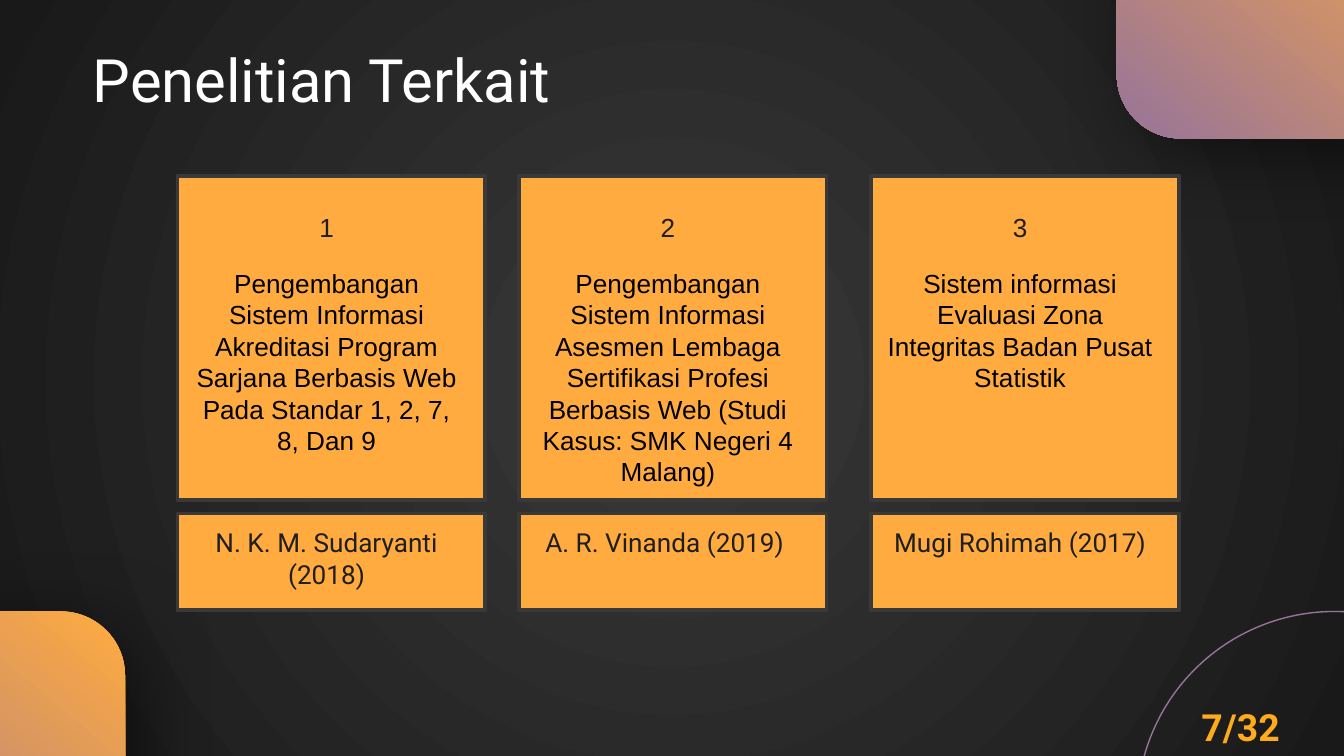
"""Build the related research slide with three study cards."""
from dataclasses import dataclass
from lxml import etree
from pptx import Presentation
from pptx.dml.color import RGBColor as Rgb
from pptx.enum.shapes import MSO_SHAPE as Kind
from pptx.enum.text import MSO_ANCHOR as Anchor, MSO_AUTO_SIZE as Fit, PP_ALIGN as Align
from pptx.oxml import parse_xml
from pptx.oxml.ns import nsdecls, qn
from pptx.util import Inches, Pt


@dataclass(frozen=True)
class Theme:
    amber: str = "FFAB40"
    mauve: str = "977499"
    gray: str = "393939"
    dark: str = "191919"
    ink: str = "1F1E20"
    black: str = "000000"
    white: str = "FFFFFF"
    gold: str = "FFAC1A"
    sans: str = "Roboto"
    plain: str = "Arial"
    head: int = 32
    page: int = 20
    body: int = 14


def blend(fill, first, last):
    fill.gradient()
    for stop, tint, spot in zip(fill.gradient_stops, (first, last), (0, 1)):
        stop.color.rgb = Rgb.from_string(tint)
        stop.position = spot


def write(shape, text, face, size, tint, align, inset):
    frame = shape.text_frame
    frame.word_wrap = True
    frame.margin_left = frame.margin_right = Inches(inset[0])
    frame.margin_top = frame.margin_bottom = Inches(inset[1])
    para = frame.paragraphs[0]
    para.alignment = align
    run = para.add_run()
    run.text = text
    run.font.name = face
    run.font.size = Pt(size)
    run.font.color.rgb = Rgb.from_string(tint)
    return run


look = Theme()
deck = Presentation()
deck.slide_width = Inches(10)
deck.slide_height = Inches(10) * 9 // 16
slide = deck.slides.add_slide(deck.slide_layouts[5])
shapes = slide.shapes

blend(slide.background.fill, look.gray, look.dark)
grad = slide.element.find(".//" + qn("a:gradFill"))
lin = grad.find(qn("a:lin"))
grad.replace(lin, parse_xml(
    f'<a:path {nsdecls("a")} path="circle">'
    '<a:fillToRect l="50000" t="50000" r="50000" b="50000"/></a:path>'))

title = shapes.title
title.left, title.top = Inches(0.69), Inches(0.32)
title.width, title.height = Inches(8.44), Inches(0.63)
write(title, "Penelitian Terkait", look.sans, look.head, look.white, Align.LEFT, (0, 0))
title.text_frame.vertical_anchor = Anchor.TOP
title.text_frame.auto_size = Fit.NONE

for left, top in ((-1.71, 4.55), (8.31, -1.24)):
    tile = shapes.add_shape(
        Kind.ROUNDED_RECTANGLE, Inches(left), Inches(top), Inches(2.64), Inches(2.27))
    tile.adjustments[0] = 0.21
    blend(tile.fill, look.amber, look.mauve)
    tile.fill.gradient_angle = 230
    tile.line.fill.background()
    tile.shadow.inherit = False
    glow = tile.element.spPr.find(qn("a:effectLst"))
    cast = etree.SubElement(
        glow, qn("a:outerShdw"), blurRad=str(Pt(39.4)), dist=str(Pt(11.2)),
        dir="2400000", algn="tl", rotWithShape="0")
    shade = etree.SubElement(cast, qn("a:srgbClr"), val=look.black)
    etree.SubElement(shade, qn("a:alpha"), val="50000")

ring = shapes.add_shape(Kind.OVAL, Inches(8.46), Inches(4.55), Inches(2.94), Inches(2.94))
ring.fill.background()
ring.line.color.rgb = Rgb.from_string(look.mauve)
ring.line.width = Pt(0.75)
ring.shadow.inherit = False

page = shapes.add_textbox(Inches(8.83), Inches(5.19), Inches(1.17), Inches(0.44))
run = write(page, "7/32", look.sans, look.page, look.gold, Align.LEFT, (0.11, 0.05))
run.font.bold = True
page.text_frame.auto_size = Fit.SHAPE_TO_FIT_TEXT

cards = (
    (1.32, "1", "Pengembangan Sistem Informasi Akreditasi Program Sarjana Berbasis Web "
     "Pada Standar 1, 2, 7, 8, Dan 9", "N. K. M. Sudaryanti (2018)"),
    (3.86, "2", "Pengembangan Sistem Informasi Asesmen Lembaga Sertifikasi Profesi "
     "Berbasis Web (Studi Kasus: SMK Negeri 4 Malang)", "A. R. Vinanda (2019) "),
    (6.48, "3", "Sistem informasi Evaluasi Zona Integritas Badan Pusat Statistik",
     "Mugi Rohimah (2017)"),
)
for left, number, study, author in cards:
    for top, high, texts in (
        (1.31, 2.41, ((1.47, 0.52, number, look.plain, look.ink),
                      (1.89, 0.89, study, look.plain, look.black))),
        (3.82, 0.72, ((3.82, 0.89, author, look.sans, look.ink),)),
    ):
        card = shapes.add_shape(
            Kind.RECTANGLE, Inches(left), Inches(top), Inches(2.29), Inches(high))
        card.fill.solid()
        card.fill.fore_color.rgb = Rgb.from_string(look.amber)
        card.line.color.rgb = Rgb.from_string(look.gray)
        card.line.width = Pt(2)
        card.shadow.inherit = False
        for start, tall, text, face, tint in texts:
            box = shapes.add_textbox(Inches(left), Inches(start), Inches(2.22), Inches(tall))
            write(box, text, face, look.body, tint, Align.CENTER, (0.1, 0.1))

deck.save("out.pptx")
